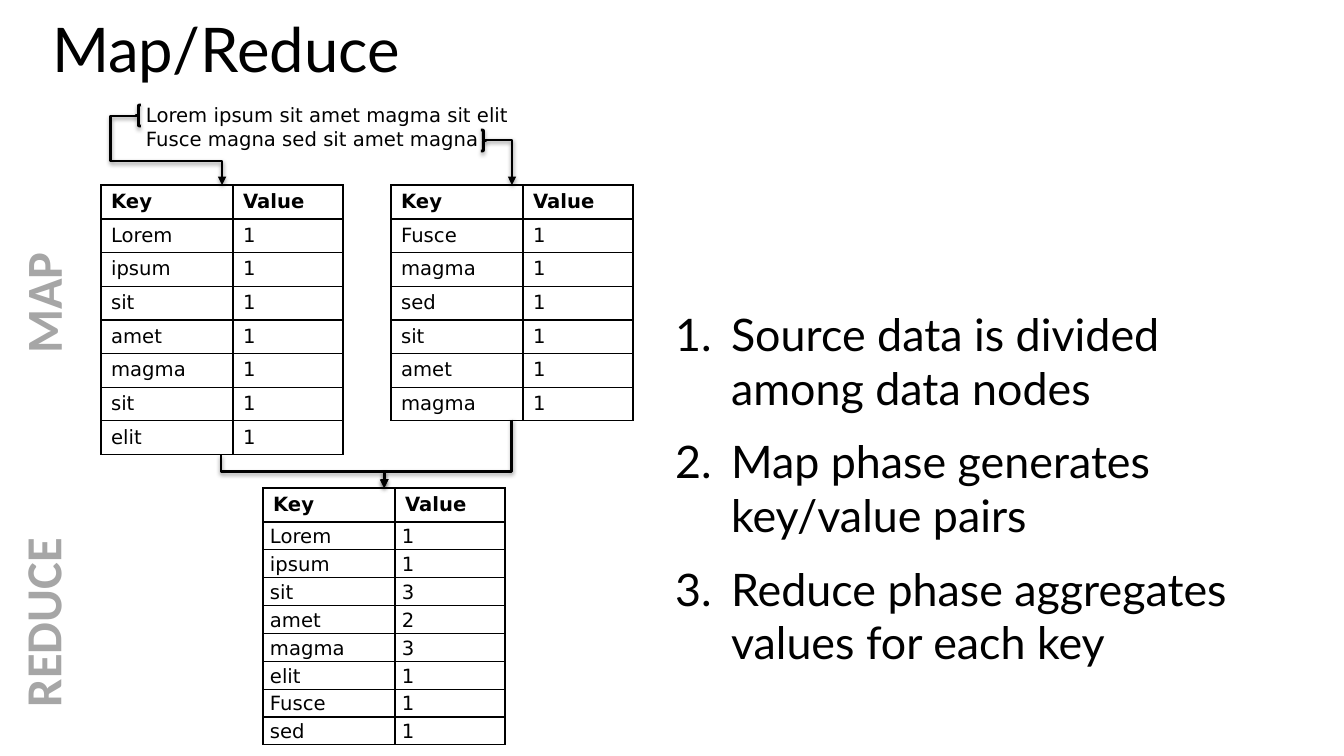
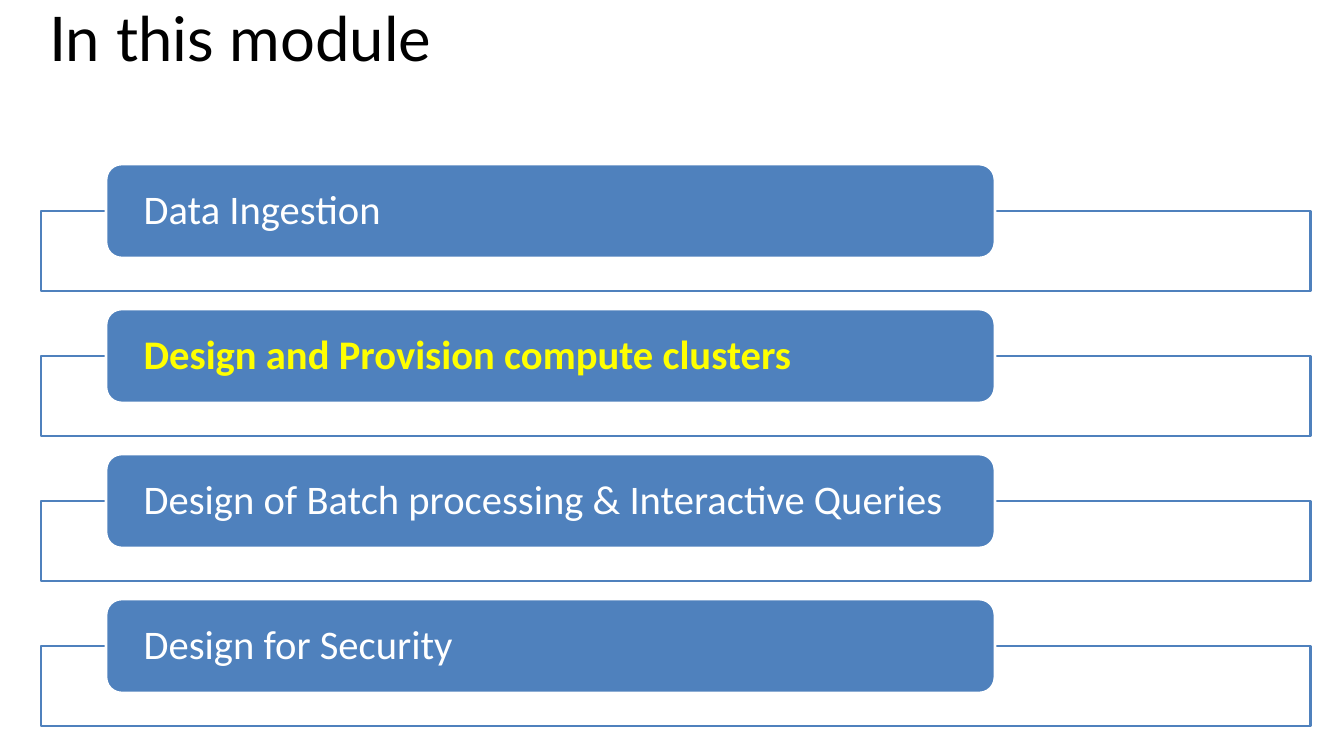
from lxml.etree import SubElement
from pptx import Presentation
from pptx.dml.color import RGBColor
from pptx.enum.shapes import MSO_CONNECTOR, MSO_SHAPE
from pptx.enum.text import MSO_ANCHOR, MSO_AUTO_SIZE, PP_ALIGN
from pptx.oxml import parse_xml
from pptx.oxml.ns import nsdecls, qn
from pptx.util import Emu, Pt

SCALE = 914400 / 100.8
BLACK = RGBColor(0x00, 0x00, 0x00)
WHITE = RGBColor(0xFF, 0xFF, 0xFF)
GRAY = RGBColor(0xA6, 0xA6, 0xA6)
BLUE = RGBColor(0x4F, 0x81, 0xBD)
YELLOW = RGBColor(0xFF, 0xFF, 0x00)
HEADING_FONT = "Lato"
LABEL_FONT = "Calibri"
DATA_FONT = "DejaVu Sans"


def px(length):
    return Emu(round(length * SCALE))


def format_text(frame, font, size, color, bold=False, spacing=1.0):
    for para in frame.paragraphs:
        para.alignment = PP_ALIGN.LEFT
        para.line_spacing = spacing
        for span in para.runs:
            span.font.name = font
            span.font.size = Pt(size)
            span.font.color.rgb = color
            span.font.bold = bold


deck = Presentation()
deck.slide_width, deck.slide_height = px(1344), px(756)

pages = []
for layout, heading, bounds in (
    (1, "Map/Reduce", (42, 20, 1270, 117)),
    (5, "In this module", (39, 9, 1159, 146)),
):
    page = deck.slides.add_slide(deck.slide_layouts[layout])
    title = page.shapes.title
    title.left, title.top, title.width, title.height = map(px, bounds)
    title.text_frame.text = heading
    title.text_frame.vertical_anchor = MSO_ANCHOR.TOP
    title.text_frame.auto_size = MSO_AUTO_SIZE.NONE
    format_text(title.text_frame, HEADING_FONT, 44, BLACK, spacing=0.8)
    pages.append(page)
map_reduce, module = pages

body = map_reduce.placeholders[1]
body.left, body.top, body.width, body.height = map(px, (665, 302, 622, 403))
body.text_frame.text = "\n".join((
    "Source data is divided among data nodes",
    "Map phase generates key/value pairs",
    "Reduce phase aggregates values for each key",
))
body.text_frame.auto_size = MSO_AUTO_SIZE.NONE
format_text(body.text_frame, HEADING_FONT, 32, BLACK)
for para in body.text_frame.paragraphs:
    para.space_before = Pt(14)
    properties = para._p.get_or_add_pPr()
    properties.set("marL", str(px(56)))
    properties.set("indent", str(-px(56)))
    SubElement(properties, qn("a:buAutoNum"), type="arabicPeriod")

source_text = map_reduce.shapes.add_textbox(*map(px, (136, 98, 396, 57)))
source_text.text_frame.word_wrap = True
source_text.text_frame.text = "Lorem ipsum sit amet magma sit elit\nFusce magna sed sit amet magna"
format_text(source_text.text_frame, DATA_FONT, 14, BLACK)

HEADER_HEIGHT = 34
first_map = "Lorem ipsum sit amet magma sit elit".split()
second_map = "Fusce magma sed sit amet magma".split()
reduced = "Lorem ipsum sit amet magma elit Fusce sed".split()
for left, top, height, keys, values, compact in (
    (101, 185, 269, first_map, "1111111", False),
    (391, 185, 235, second_map, "111111", False),
    (263, 488, 257, reduced, "11323111", True),
):
    rows = [("Key", "Value"), *zip(keys, values)]
    table = map_reduce.shapes.add_table(len(rows), 2, *map(px, (left, top, 242, height))).table
    table.horz_banding = False
    table.columns[0].width, table.columns[1].width = px(132), px(110)
    for row_number, row in enumerate(rows):
        is_header = row_number == 0
        tight = compact and not is_header
        table.rows[row_number].height = px(
            HEADER_HEIGHT if is_header else (height - HEADER_HEIGHT) / len(keys)
        )
        for column_number, value in enumerate(row):
            cell = table.cell(row_number, column_number)
            cell.text_frame.text = value
            format_text(cell.text_frame, DATA_FONT, 14, BLACK, is_header, 1.15 if tight else 1.0)
            if tight:
                cell.margin_left = cell.margin_right = px(7)
                cell.margin_top = cell.margin_bottom = 0
            cell.fill.solid()
            cell.fill.fore_color.rgb = WHITE
            for position, side in enumerate(("lnL", "lnR", "lnT", "lnB")):
                border = parse_xml(
                    f'<a:{side} {nsdecls("a")} w="12700"><a:solidFill>'
                    f'<a:srgbClr val="{BLACK}"/></a:solidFill></a:{side}>'
                )
                cell._tc.get_or_add_tcPr().insert(position, border)

shadowed = []
for left, top, flip in ((136, 105, "0"), (481, 130, "1")):
    brace = map_reduce.shapes.add_shape(MSO_SHAPE.LEFT_BRACE, *map(px, (left, top, 5, 21)))
    brace.fill.background()
    brace._element.spPr.find(qn("a:xfrm")).set("flipH", flip)
    shadowed.append(brace)

for preset, (left, top, width, height), degrees, flips, adjustments in (
    ("bentConnector4", (136, 116, 86, 69), 180, ("flipH", "flipV"), (-29300, 65100)),
    ("bentConnector2", (486, 140, 26, 45), 0, (), ()),
    ("bentConnector3", (286, 390, 33, 163), 270, ("flipH",), (50000,)),
    ("bentConnector3", (414, 390, 68, 127), 90, (), (75900,)),
):
    arrow = map_reduce.shapes.add_connector(
        MSO_CONNECTOR.ELBOW, *map(px, (left, top, left + width, top + height))
    )
    transform = arrow._element.spPr.find(qn("a:xfrm"))
    transform.set("rot", str(degrees * 60000))
    for flip in flips:
        transform.set(flip, "1")
    geometry = arrow._element.spPr.find(qn("a:prstGeom"))
    geometry.set("prst", preset)
    guides = geometry.find(qn("a:avLst"))
    for number, amount in enumerate(adjustments, 1):
        SubElement(guides, qn("a:gd"), name=f"adj{number}", fmla=f"val {amount}")
    SubElement(arrow.line._get_or_add_ln(), qn("a:tailEnd"), type="triangle")
    shadowed.append(arrow)

for shape in shadowed:
    shape.line.color.rgb = BLACK
    shape.line.width = Pt(2)
    shape._element.spPr.append(parse_xml(
        f'<a:effectLst {nsdecls("a")}>'
        '<a:outerShdw blurRad="40000" dist="20000" dir="5400000" rotWithShape="0">'
        f'<a:srgbClr val="{BLACK}"><a:alpha val="38000"/></a:srgbClr>'
        '</a:outerShdw></a:effectLst>'
    ))

for phase, bounds in (("MAP", (-19, 266, 123, 72)), ("REDUCE", (-53, 586, 190, 72))):
    label = map_reduce.shapes.add_textbox(*map(px, bounds))
    label.rotation = 270
    label.text_frame.word_wrap = False
    label.text_frame.text = phase
    format_text(label.text_frame, LABEL_FONT, 36, GRAY, True)

TOPIC_TOP = 164
TOPIC_PITCH = 145
topics = (
    "Data Ingestion",
    "Design and Provision compute clusters",
    "Design of Batch processing & Interactive Queries",
    "Design for Security",
)
current_topic = topics[1]
for number, topic in enumerate(topics):
    top = TOPIC_TOP + number * TOPIC_PITCH
    frame = module.shapes.add_shape(MSO_SHAPE.RECTANGLE, *map(px, (41, top + 47, 1270, 80)))
    bar = module.shapes.add_shape(MSO_SHAPE.ROUNDED_RECTANGLE, *map(px, (106, top, 889, 94)))
    for shape, fill, line in ((frame, WHITE, BLUE), (bar, BLUE, WHITE)):
        shape.shadow.inherit = False
        shape.fill.solid()
        shape.fill.fore_color.rgb = fill
        shape.line.color.rgb = line
        shape.line.width = Pt(2)
    text = bar.text_frame
    text.text = topic
    text.word_wrap = True
    text.vertical_anchor = MSO_ANCHOR.MIDDLE
    text.margin_left = text.margin_right = px(33)
    text.margin_top = text.margin_bottom = 0
    is_current = topic == current_topic
    format_text(text, LABEL_FONT, 29, YELLOW if is_current else WHITE, is_current, 0.9)

deck.save("out.pptx")
